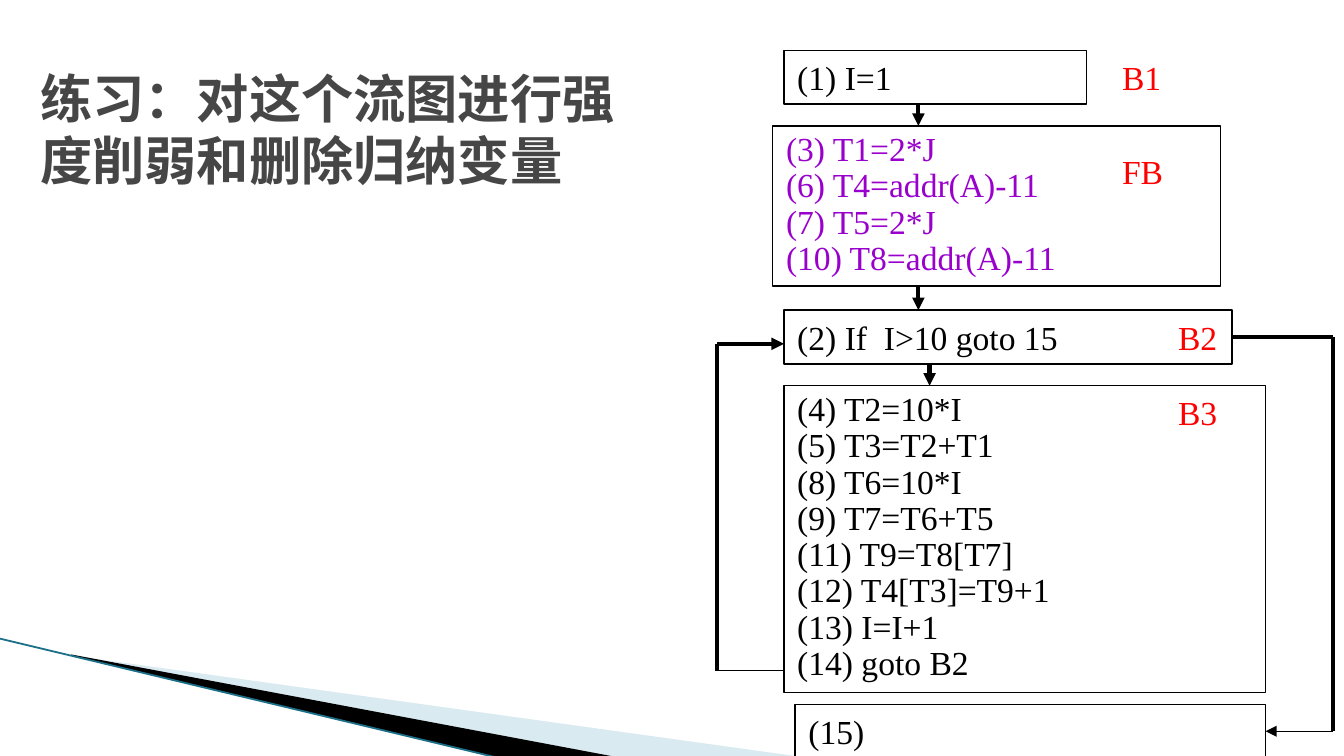
from lxml.etree import SubElement
from pptx import Presentation
from pptx.dml.color import RGBColor
from pptx.enum.shapes import MSO_CONNECTOR as Line, MSO_SHAPE as Shape
from pptx.enum.text import MSO_ANCHOR as Anchor, MSO_AUTO_SIZE as Fit, PP_ALIGN as Align
from pptx.oxml.ns import qn
from pptx.util import Inches, Pt

WIDTH = 10
HEIGHT = WIDTH * 9 / 16
CELL = 1 / 12  # the grid has 12 columns and 12 rows to the inch
COLORS = {"ink": "000000", "title": "464646", "label": "FF0000", "hoisted": "9900CC",
          "pale": "A0CBDC", "edge": "1B7088"}
THIN, THICK = 0.75, 2.25


def grid(*cells):
    return [Inches(cell * CELL) for cell in cells]


def color(name):
    return RGBColor.from_string(COLORS[name])


def write(frame, text, font="Times New Roman", size=18, ink="ink", bold=False,
          spacing=None, anchor=Anchor.TOP):
    """Fill a text frame, one paragraph per line of text."""
    frame.word_wrap = True
    frame.vertical_anchor = anchor
    for number, line in enumerate(text.split("\n")):
        para = frame.add_paragraph() if number else frame.paragraphs[0]
        para.alignment = Align.LEFT
        para.space_before = Pt(0)
        if spacing:
            para.line_spacing = spacing
        span = para.add_run()
        span.text = line
        span.font.name, span.font.size, span.font.bold = font, Pt(size), bold
        span.font.color.rgb = color(ink)
        SubElement(span.font._element, qn("a:ea"), typeface=font)


class FlowSlide:
    def __init__(self, deck):
        self.page = deck.slides.add_slide(deck.slide_layouts[5])
        self.shapes = self.page.shapes

    def title(self, text, left, top, width, height):
        box = self.shapes.title
        box.left, box.top = Inches(left * WIDTH), Inches(top * HEIGHT)
        box.width, box.height = Inches(width * WIDTH), Inches(height * HEIGHT)
        write(box.text_frame, text, font="Noto Sans CJK SC", size=28, ink="title",
              bold=True, anchor=Anchor.MIDDLE)
        box.text_frame.auto_size = Fit.NONE

    def wedge(self, points, fill, opacity=None):
        start, *rest = [(Inches(x), Inches(y)) for x, y in points]
        builder = self.shapes.build_freeform(*start)
        builder.add_line_segments(rest, close=True)
        wedge = builder.convert_to_shape()
        wedge.shadow.inherit = False
        wedge.fill.solid()
        wedge.fill.fore_color.rgb = color(fill)
        wedge.line.fill.background()
        if opacity:
            tint = wedge._element.spPr.find(".//" + qn("a:srgbClr"))
            SubElement(tint, qn("a:alpha"), val=str(opacity * 1000))

    def block(self, text, *cells, **style):
        box = self.shapes.add_shape(Shape.RECTANGLE, *grid(*cells))
        box.shadow.inherit = False
        box.fill.background()
        box.line.color.rgb = color("ink")
        box.line.width = Pt(THIN)
        write(box.text_frame, text, **style)
        box.text_frame.auto_size = Fit.SHAPE_TO_FIT_TEXT
        return box

    def label(self, text, column, row):
        box = self.shapes.add_textbox(*grid(column, row, 8, 4.8))
        write(box.text_frame, text, ink="label")
        box.text_frame.auto_size = Fit.SHAPE_TO_FIT_TEXT

    def line(self, *cells, width=THICK, ink="ink", arrow=False):
        line = self.shapes.add_connector(Line.STRAIGHT, *grid(*cells))
        line.line.color.rgb = color(ink)
        line.line.width = Pt(width)
        if arrow:
            SubElement(line.line._get_or_add_ln(), qn("a:tailEnd"), type="triangle")
        SubElement(line._element.spPr, qn("a:effectLst"))
        return line


def main():
    deck = Presentation()
    deck.slide_width, deck.slide_height = Inches(WIDTH), Inches(HEIGHT)
    slide = FlowSlide(deck)

    # Corner decoration
    slide.wedge([(0.55, 4.88), (5.95, 5.63), (4.56, 5.63)], "pale", opacity=40)
    slide.wedge([(0.53, 4.87), (4.57, 5.63), (3.72, 5.64), (0.54, 4.88)], "ink")
    slide.line(-0.1, 57, 44.6, 67.7, width=0.95, ink="edge")

    slide.title("练习：对这个流图进行强度削弱和删除归纳变量", 0.02, 0.07, 0.46, 0.2)

    # Basic blocks
    slide.block("(1) I=1", 70, 4.5, 27, 4.8)
    slide.block("(3) T1=2*J\n(6) T4=addr(A)-11\n(7) T5=2*J\n(10) T8=addr(A)-11",
                69, 11.25, 40, 14.3, ink="hoisted", spacing=0.9)
    test = slide.block("(2) If  I>10 goto 15", 70, 27.7, 40, 4.8)
    slide.block("(4) T2=10*I\n(5) T3=T2+T1\n(8) T6=10*I\n(9) T7=T6+T5\n"
                "(11) T9=T8[T7]\n(12) T4[T3]=T9+1\n(13) I=I+1\n(14) goto B2",
                70, 34.45, 43, 27.4, spacing=0.9)
    leave = slide.block("(15)", 71, 62.9, 42, 4.8)

    # Block names
    for name, column, row in [("B1", 99, 4.5), ("FB", 99, 12.85),
                              ("B2", 104, 27.7), ("B3", 104, 34.45)]:
        slide.label(name, column, row)

    # Downward flow
    for column, start, end in [(82, 9.3, 11.25), (82, 25.5, 27.7), (83, 32.5, 34.45)]:
        slide.line(column, start, column, end, arrow=True)

    # Loop back from B3 to B2
    slide.line(70, 59.9, 64, 59.9, width=THIN)
    slide.line(64, 59.9, 64, 30.7)
    slide.line(64, 30.7, 70, 30.7, arrow=True)

    # Exit from B2 to (15)
    slide.line(110, 30.1, 119, 30.1).begin_connect(test, 3)
    slide.line(119, 30.1, 119, 65.3)
    slide.line(119, 65.3, 113, 65.3, width=THIN, arrow=True).end_connect(leave, 3)

    deck.save("out.pptx")


if __name__ == "__main__":
    main()
